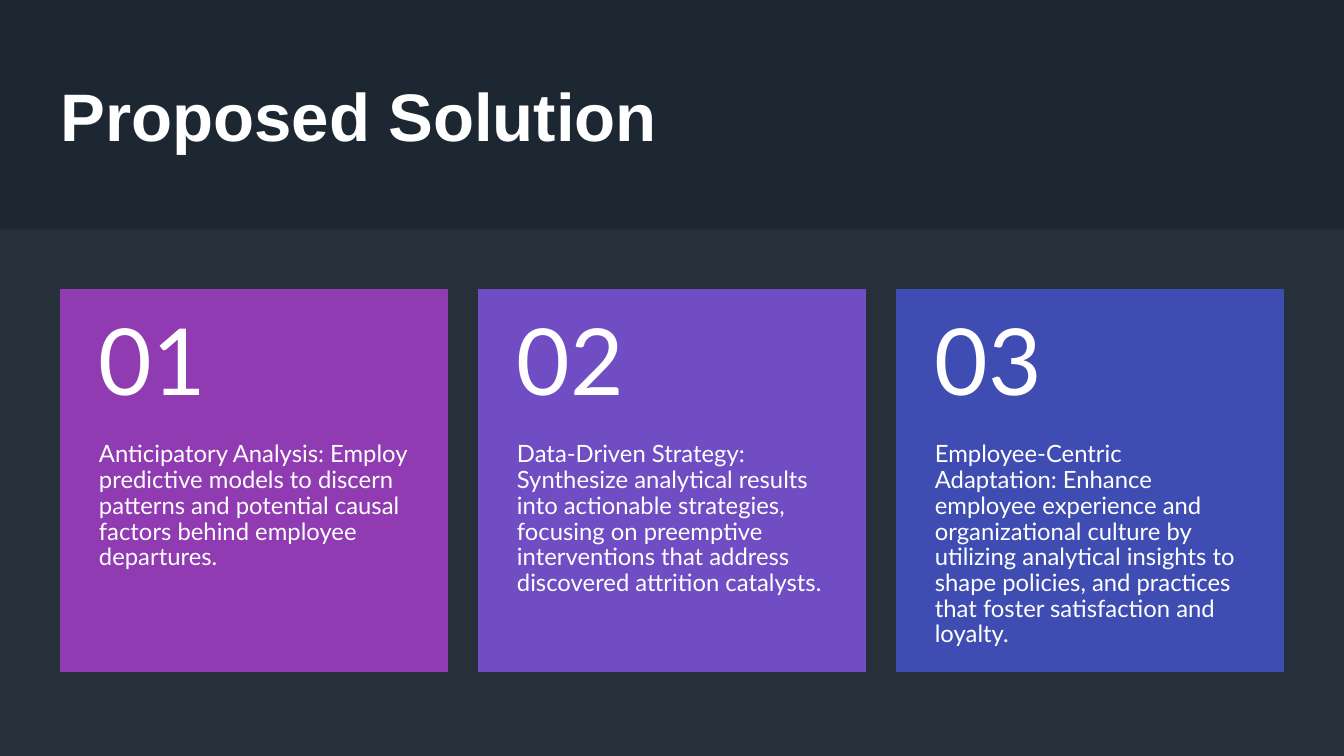
from lxml.etree import SubElement
from pptx import Presentation
from pptx.dml.color import RGBColor
from pptx.enum.shapes import MSO_SHAPE
from pptx.enum.text import MSO_ANCHOR
from pptx.oxml.ns import qn
from pptx.util import Pt

NAVY = RGBColor(0x1C, 0x27, 0x32)
MIST = RGBColor(0xE3, 0xE9, 0xEF)
WHITE = RGBColor(0xFF, 0xFF, 0xFF)
PURPLE = RGBColor(0x90, 0x3B, 0xB1)
VIOLET = RGBColor(0x70, 0x4D, 0xC3)
INDIGO = RGBColor(0x3F, 0x4D, 0xB3)

SLIDE_WIDTH, SLIDE_HEIGHT = 960, 540
MARGIN = 43.2
PANEL_TOP = 164
CARD_TOP, CARD_HEIGHT, CARD_GAP = 206.8, 273, 22
CARD_INSET = 27.5
NUMBER_SHARE = 0.4

STEPS = [
    (PURPLE, "Anticipatory Analysis: Employ predictive models to discern patterns "
             "and potential causal factors behind employee departures."),
    (VIOLET, "Data-Driven Strategy: Synthesize analytical results into actionable "
             "strategies, focusing on preemptive interventions that address "
             "discovered attrition catalysts."),
    (INDIGO, "Employee-Centric Adaptation: Enhance employee experience and "
             "organizational culture by utilizing analytical insights to shape "
             "policies, and practices that foster satisfaction and loyalty."),
]


def add_rectangle(slide, box, color):
    rectangle = slide.shapes.add_shape(MSO_SHAPE.RECTANGLE, *map(Pt, box))
    rectangle.shadow.inherit = False
    rectangle.fill.solid()
    rectangle.fill.fore_color.rgb = color
    rectangle.line.fill.background()
    return rectangle


def add_text(slide, box, text, font_name, size, insets=(0, 0, 0, 0),
             anchor=MSO_ANCHOR.MIDDLE, bold=False, line_spacing=None):
    """Add white text; insets are left, top, right, bottom."""
    frame = slide.shapes.add_textbox(*map(Pt, box)).text_frame
    frame.word_wrap = True
    frame.vertical_anchor = anchor
    (frame.margin_left, frame.margin_top,
     frame.margin_right, frame.margin_bottom) = map(Pt, insets)
    frame.text = text
    paragraph = frame.paragraphs[0]
    paragraph.line_spacing = line_spacing
    font = paragraph.runs[0].font
    font.name, font.size, font.bold = font_name, Pt(size), bold
    font.color.rgb = WHITE


def add_panel(slide, box):
    """Add the faint veil behind the cards."""
    panel = add_rectangle(slide, box, MIST)
    tint = panel.fill._xPr.find(qn("a:solidFill"))[0]
    SubElement(tint, qn("a:alpha"), val="5000")


def add_card(slide, box, number, color, description):
    left, top, width, height = box
    number_height = height * NUMBER_SHARE
    card = add_rectangle(slide, box, color)
    card.line.color.rgb = color
    card.line.width = Pt(1)
    add_text(slide, (left, top + number_height, width, height - number_height),
             description, "Lato", 17, (CARD_INSET, 0, CARD_INSET, 26),
             MSO_ANCHOR.TOP, line_spacing=0.9)
    add_text(slide, (left, top, width, number_height), f"{number:02}",
             "Lato", 66, (CARD_INSET, 13, CARD_INSET, 13), line_spacing=0.9)


def add_card_row(slide, box):
    left, top, width, height = box
    card_width = (width - CARD_GAP * (len(STEPS) - 1)) / len(STEPS)
    for index, (color, description) in enumerate(STEPS):
        card_left = left + index * (card_width + CARD_GAP)
        add_card(slide, (card_left, top, card_width, height),
                 index + 1, color, description)


def main():
    deck = Presentation()
    deck.slide_width, deck.slide_height = Pt(SLIDE_WIDTH), Pt(SLIDE_HEIGHT)
    slide = deck.slides.add_slide(deck.slide_layouts[6])
    slide.background.fill.solid()
    slide.background.fill.fore_color.rgb = NAVY
    add_text(slide, (MARGIN, MARGIN, 575, 78), "Proposed Solution",
             "Arial", 48, bold=True)
    add_panel(slide, (0, PANEL_TOP, SLIDE_WIDTH, SLIDE_HEIGHT - PANEL_TOP))
    add_card_row(slide, (MARGIN, CARD_TOP, SLIDE_WIDTH - 2 * MARGIN, CARD_HEIGHT))
    deck.save("out.pptx")


if __name__ == "__main__":
    main()
